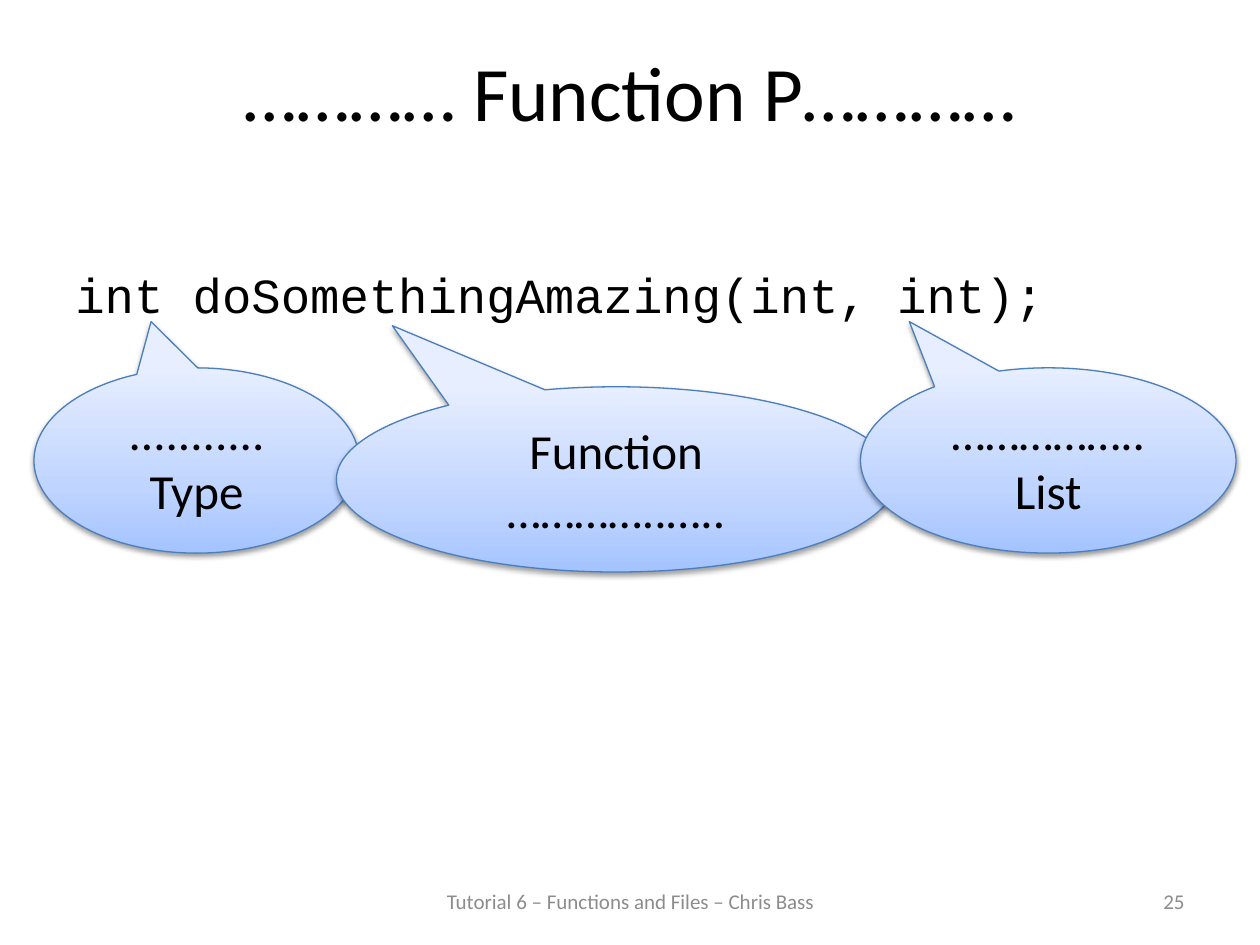
from lxml import etree
from pptx import Presentation
from pptx import util as u
from pptx.dml.color import RGBColor
from pptx.enum import shapes, text
from pptx.oxml import ns

COLORS = {
    "text": "000000",
    "footer": "8C8C8C",
    "outline": "4B7EBC",
    "shadow": "000000",
}
CALLOUT_GRADIENT = [(0, "A4C4FF"), (35, "BFD4FF"), (100, "E6EEFF")]
BODY_FONT, CODE_FONT = "Calibri", "Courier New"
ALIGN = text.PP_ALIGN
ANCHOR = text.MSO_ANCHOR


def place(shape, left, top, width, height):
    shape.left, shape.top = u.Inches(left), u.Inches(top)
    shape.width, shape.height = u.Inches(width), u.Inches(height)


def write(shape, words, size, align, anchor, color="text", font=BODY_FONT):
    frame = shape.text_frame
    frame.text = words
    frame.word_wrap = True
    frame.auto_size = text.MSO_AUTO_SIZE.NONE
    frame.vertical_anchor = anchor
    para = frame.paragraphs[0]
    para.alignment = align
    span = para.runs[0]
    span.font.name = font
    span.font.size = u.Pt(size)
    span.font.color.rgb = RGBColor.from_string(COLORS[color])


def add_text(page, words, bounds, size, align, anchor, **style):
    box = page.shapes.add_textbox(*map(u.Inches, bounds))
    write(box, words, size, align, anchor, **style)


def add_child(parent, tag, **attributes):
    child = etree.SubElement(parent, ns.qn(tag))
    for name, value in attributes.items():
        child.set(name, str(value))
    return child


def apply_gradient(shape, stops):
    """Fill the shape with stops that run from bottom to top."""
    properties = shape.element.spPr
    gradient = add_child(properties, "a:gradFill", rotWithShape=1)
    stop_list = add_child(gradient, "a:gsLst")
    for percent, color in stops:
        stop = add_child(stop_list, "a:gs", pos=percent * 1000)
        add_child(stop, "a:srgbClr", val=color)
    add_child(gradient, "a:lin", ang=270 * 60000, scaled=0)
    properties.find(ns.qn("a:prstGeom")).addnext(gradient)


def apply_shadow(shape):
    effects = add_child(shape.element.spPr, "a:effectLst")
    shadow = add_child(effects, "a:outerShdw", blurRad=u.Pt(3.1), dist=u.Pt(1.6),
                       dir=90 * 60000, rotWithShape=0)
    color = add_child(shadow, "a:srgbClr", val=COLORS["shadow"])
    add_child(color, "a:alpha", val=38000)


def add_callout(page, words, left, top, width, pointer):
    callout = page.shapes.add_shape(
        shapes.MSO_SHAPE.OVAL_CALLOUT,
        *map(u.Inches, (left, top, width, 1.47)))
    for index, offset in enumerate(pointer):
        callout.adjustments[index] = offset
    callout.line.color.rgb = RGBColor.from_string(COLORS["outline"])
    callout.line.width = u.Pt(0.75)
    apply_gradient(callout, CALLOUT_GRADIENT)
    apply_shadow(callout)
    write(callout, words, 28, ALIGN.CENTER, ANCHOR.MIDDLE)


def main():
    deck = Presentation()
    deck.slide_width, deck.slide_height = u.Inches(10), u.Inches(7.5)
    page = deck.slides.add_slide(deck.slide_layouts[5])

    title = page.shapes.title
    place(title, 0.5, 0.3, 9, 1.25)
    write(title, "………… Function P…………", 44, ALIGN.CENTER, ANCHOR.TOP)

    add_text(page, "int doSomethingAmazing(int, int);", (0.5, 2.05, 9, 0.6),
             28, ALIGN.LEFT, ANCHOR.TOP, font=CODE_FONT)

    add_callout(page, "........... Type", 0.27, 2.92, 2.58, (-0.14, -0.75))
    add_callout(page, "Function …………..…..", 2.67, 3.07, 4.44, (-0.4, -0.83))
    add_callout(page, "…………….. List", 6.83, 2.92, 2.98, (-0.37, -0.75))

    add_text(page, "Tutorial 6 – Functions and Files – Chris Bass",
             (3.42, 6.95, 3.17, 0.4), 12, ALIGN.CENTER, ANCHOR.MIDDLE, color="footer")
    add_text(page, "25", (7.17, 6.95, 2.33, 0.4),
             12, ALIGN.RIGHT, ANCHOR.MIDDLE, color="footer")

    deck.save("out.pptx")


if __name__ == "__main__":
    main()
